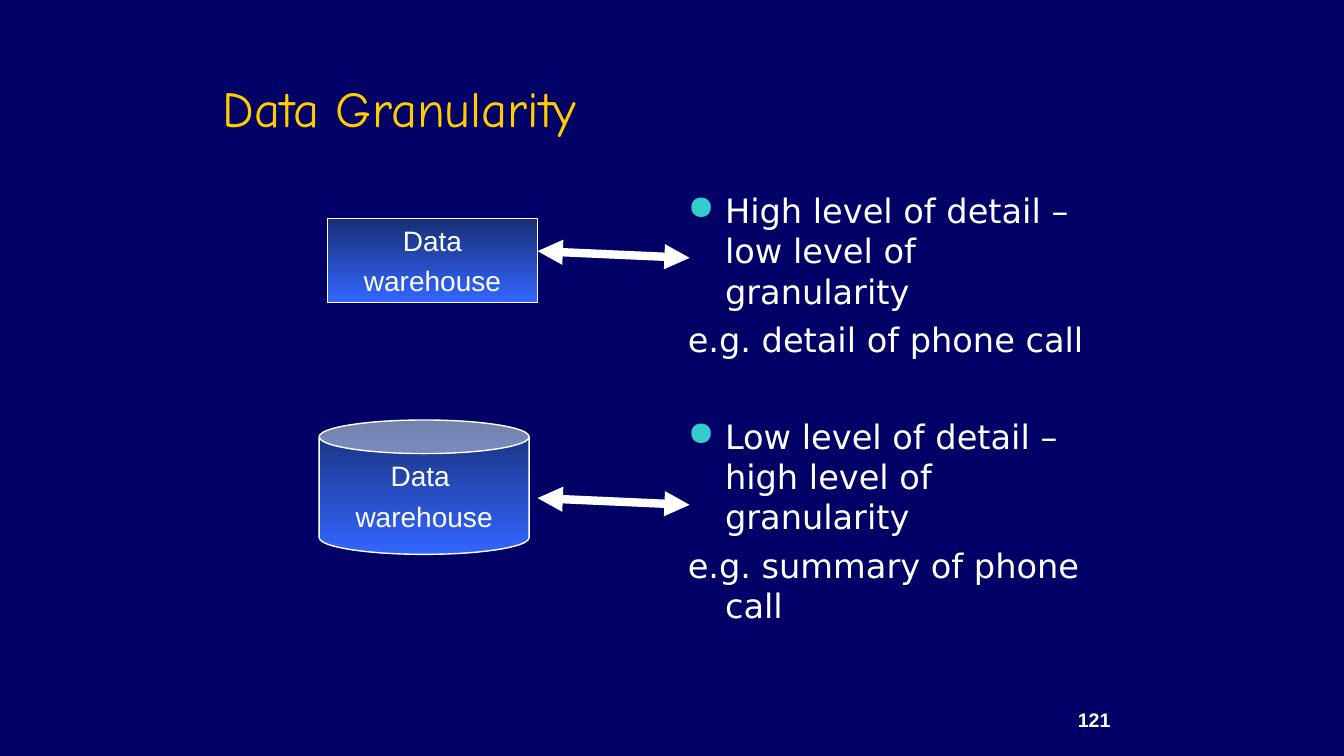
import pptx
import pptx.dml.color
import pptx.enum.shapes
import pptx.enum.text
import pptx.oxml
import pptx.oxml.ns
import pptx.util

RGBColor = pptx.dml.color.RGBColor
Pt = pptx.util.Pt
Inches = pptx.util.Inches
ALIGN = pptx.enum.text.PP_ALIGN
ANCHOR = pptx.enum.text.MSO_ANCHOR
SHAPES = pptx.enum.shapes.MSO_SHAPE

NAVY = RGBColor(0x00, 0x00, 0x66)
GOLD = RGBColor(0xFF, 0xCC, 0x00)
WHITE = RGBColor(0xFF, 0xFF, 0xFF)
TEAL = RGBColor(0x33, 0xCC, 0xCC)
DARK_BLUE = RGBColor(0x18, 0x2F, 0x76)
BRIGHT_BLUE = RGBColor(0x33, 0x66, 0xFF)

SLIDE_WIDTH, SLIDE_HEIGHT = Inches(13.33), Inches(7.5)
COLUMNS, ROWS = 160, 90

TITLE_FONT = {"name": "Comic Neue", "size": Pt(36)}
BODY_FONT = {"name": "DejaVu Sans", "size": Pt(24)}
LABEL_FONT = {"name": "Arial", "size": Pt(20)}
NUMBER_FONT = {"name": "Arial", "size": Pt(14), "bold": True}


def grid(column, row, *extent):
    """Turn grid positions, and optionally a grid size, into lengths."""
    shares = (column, row, *extent)
    units = (SLIDE_WIDTH / COLUMNS, SLIDE_HEIGHT / ROWS) * 2
    return [round(share * unit) for share, unit in zip(shares, units)]


def set_attributes(target, values):
    for name, value in values.items():
        setattr(target, name, value)


def add_drawing_xml(parent, tag, attributes=""):
    namespace = pptx.oxml.ns.nsdecls("a")
    element = pptx.oxml.parse_xml(f"<a:{tag} {namespace} {attributes}/>")
    parent.append(element)
    return element


def add_paragraph(frame, text, font, color=WHITE, hanging=False, bullet=False, **layout):
    """Fill the frame's empty first paragraph, or append a further one."""
    first = frame.paragraphs[0]
    paragraph = frame.add_paragraph() if first.runs else first
    run = paragraph.add_run()
    run.text = text
    set_attributes(run.font, font)
    run.font.color.rgb = color
    set_attributes(paragraph, layout)
    properties = paragraph._p.get_or_add_pPr()
    if hanging:
        indent = Inches(0.37)
        properties.set("marL", str(indent))
        properties.set("indent", str(-indent))
    if bullet:
        bullet_color = add_drawing_xml(properties, "buClr")
        add_drawing_xml(bullet_color, "srgbClr", f'val="{TEAL}"')
        add_drawing_xml(properties, "buChar", 'char="●"')


def add_text_box(slide, bounds, anchor):
    frame = slide.shapes.add_textbox(*grid(*bounds)).text_frame
    set_attributes(frame, {"word_wrap": True, "vertical_anchor": anchor})
    return frame


def add_warehouse(slide, kind, bounds, lines):
    shape = slide.shapes.add_shape(kind, *grid(*bounds))
    shape.shadow.inherit = False
    shape.fill.gradient()
    shape.fill.gradient_angle = 270
    for stop, color in zip(shape.fill.gradient_stops, (DARK_BLUE, BRIGHT_BLUE)):
        stop.color.rgb = color
    shape.line.color.rgb = WHITE
    shape.line.width = Pt(1)
    frame = shape.text_frame
    set_attributes(frame, {"word_wrap": True, "vertical_anchor": ANCHOR.MIDDLE})
    for index, text in enumerate(lines):
        add_paragraph(frame, text, LABEL_FONT, hanging=True,
                      alignment=ALIGN.CENTER, space_before=Pt(5 * index))
    return shape


def add_double_arrow(slide, start, end):
    connector = slide.shapes.add_connector(
        pptx.enum.shapes.MSO_CONNECTOR.STRAIGHT, *grid(*start), *grid(*end))
    connector.line.color.rgb = WHITE
    connector.line.width = Pt(6)
    line_properties = connector.line._get_or_add_ln()
    for end_tag in ("headEnd", "tailEnd"):
        add_drawing_xml(line_properties, end_tag, 'type="triangle"')
    add_drawing_xml(connector._element.spPr, "effectLst")


def main():
    presentation = pptx.Presentation()
    presentation.slide_width, presentation.slide_height = SLIDE_WIDTH, SLIDE_HEIGHT
    slide = presentation.slides.add_slide(presentation.slide_layouts[6])
    slide.background.fill.solid()
    slide.background.fill.fore_color.rgb = NAVY

    title = add_text_box(slide, (25.3, 3, 102, 14), ANCHOR.BOTTOM)
    add_paragraph(title, "Data Granularity", TITLE_FONT, GOLD)

    body = add_text_box(slide, (80.7, 22, 52.7, 58), ANCHOR.TOP)
    levels = (
        ("High level of detail – low level of granularity", "e.g. detail of phone call", 0),
        ("Low level of detail – high level of granularity", "e.g. summary of phone call", 40),
    )
    for level, example, gap in levels:
        add_paragraph(body, level, BODY_FONT, hanging=True, bullet=True,
                      space_before=Pt(gap))
        add_paragraph(body, example, BODY_FONT, hanging=True, space_before=Pt(6))

    number = add_text_box(slide, (108.4, 81.7, 25, 6), ANCHOR.BOTTOM)
    add_paragraph(number, "121", NUMBER_FONT, alignment=ALIGN.RIGHT)

    add_warehouse(slide, SHAPES.RECTANGLE, (39, 26, 25, 10), (" Data ", "warehouse"))
    can = add_warehouse(slide, SHAPES.CAN, (38, 50, 25, 16), ("Data ", "warehouse"))
    can.adjustments[0] = 0.25

    for row in (29.9, 59.3):
        add_double_arrow(slide, (82.1, row + 0.8), (64, row))

    presentation.save("out.pptx")


if __name__ == "__main__":
    main()
